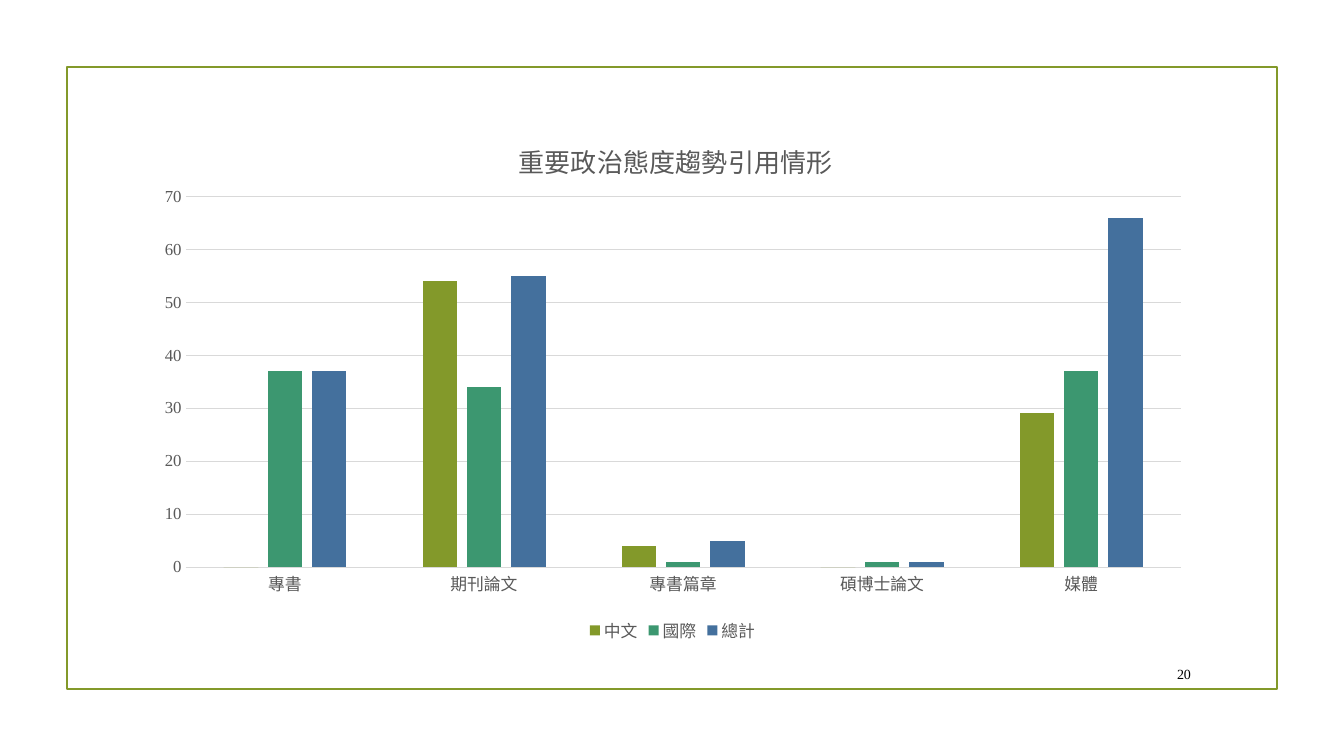
from lxml.etree import SubElement
from pptx import Presentation
from pptx.chart.data import CategoryChartData
from pptx.dml.color import RGBColor
from pptx.enum.chart import XL_CHART_TYPE, XL_LEGEND_POSITION, XL_TICK_MARK
from pptx.enum.shapes import MSO_SHAPE
from pptx.enum.text import MSO_ANCHOR, PP_ALIGN
from pptx.oxml.ns import qn
from pptx.util import Inches, Pt

TITLE = "重要政治態度趨勢引用情形"
CATEGORIES = ["專書", "期刊論文", "專書篇章", "碩博士論文", "媒體"]
SERIES = [
    ("中文", (0, 54, 4, 0, 29), "olive"),
    ("國際", (37, 34, 1, 1, 37), "green"),
    ("總計", (37, 55, 5, 1, 66), "blue"),
]
PAGE_NUMBER = "20"

COLORS = {
    "olive": "83992A",
    "green": "3C9770",
    "blue": "44709D",
    "label": "595959",
    "grid": "D9D9D9",
    "black": "000000",
}
FONT = "Times New Roman"
WIDTH, HEIGHT = 13.33, 7.5
FRAME_MARGIN = 0.665
CHART_BOX = (1.42, 1.06, 10.5, 5.36)
NUMBER_BOX = (11.32, 6.53, 0.59, 0.31)
# Shares of the chart's own width and height
TITLE_LAYOUT = {"x": 0.35, "y": 0.05}
PLOT_LAYOUT = {"x": 0.04, "y": 0.166, "w": 0.94, "h": 0.686}


def color(name):
    return RGBColor.from_string(COLORS[name])


def format_font(font, size, color_name):
    font.name = FONT
    font.size = Pt(size)
    font.bold = False
    font.color.rgb = color(color_name)


def format_line(line, color_name, width):
    line.color.rgb = color(color_name)
    line.width = Pt(width)


def write_text(text_frame, text, size=12, color_name="label", align=PP_ALIGN.CENTER):
    paragraph = text_frame.paragraphs[0]
    paragraph.alignment = align
    run = paragraph.add_run()
    run.text = text
    format_font(run.font, size, color_name)


def set_layout(parent, position, shares, inner=False):
    """Place a chart part by shares of the chart's size."""
    for existing in parent.findall(qn("c:layout")):
        parent.remove(existing)
    layout = parent.makeelement(qn("c:layout"))
    parent.insert(position, layout)
    manual = SubElement(layout, qn("c:manualLayout"))
    if inner:
        SubElement(manual, qn("c:layoutTarget")).set("val", "inner")
    for key in ("x", "y"):
        SubElement(manual, qn(f"c:{key}Mode")).set("val", "edge")
    for key, share in shares.items():
        SubElement(manual, qn(f"c:{key}")).set("val", str(share))


def add_frame(slide):
    frame = slide.shapes.add_shape(
        MSO_SHAPE.RECTANGLE, Inches(FRAME_MARGIN), Inches(FRAME_MARGIN),
        Inches(WIDTH - 2 * FRAME_MARGIN), Inches(HEIGHT - 2 * FRAME_MARGIN))
    frame.shadow.inherit = False
    frame.fill.background()
    format_line(frame.line, "olive", 1.25)


def format_axes(chart):
    for axis in (chart.category_axis, chart.value_axis):
        axis.major_tick_mark = axis.minor_tick_mark = XL_TICK_MARK.NONE
        format_font(axis.tick_labels.font, 12, "label")
    format_line(chart.category_axis.format.line, "grid", 0.75)
    value_axis = chart.value_axis
    value_axis.minimum_scale, value_axis.maximum_scale = 0, 70
    value_axis.major_unit = 10
    value_axis.format.line.fill.background()
    format_line(value_axis.major_gridlines.format.line, "grid", 0.75)


def add_citation_chart(slide):
    data = CategoryChartData()
    data.categories = CATEGORIES
    for name, values, _ in SERIES:
        data.add_series(name, values)
    chart = slide.shapes.add_chart(
        XL_CHART_TYPE.COLUMN_CLUSTERED, *map(Inches, CHART_BOX), data).chart
    format_font(chart.font, 10, "black")

    chart.has_title = True
    write_text(chart.chart_title.text_frame, TITLE, size=18.6)
    chart.chart_title.include_in_layout = False
    set_layout(chart.element.find(".//" + qn("c:title")), 1, TITLE_LAYOUT)
    set_layout(chart.element.find(".//" + qn("c:plotArea")), 0, PLOT_LAYOUT, inner=True)

    format_axes(chart)
    plot = chart.plots[0]
    plot.gap_width, plot.overlap = 219, -27
    plot.vary_by_categories = False
    for series, (_, _, color_name) in zip(plot.series, SERIES):
        series.format.fill.solid()
        series.format.fill.fore_color.rgb = color(color_name)

    chart.has_legend = True
    chart.legend.position = XL_LEGEND_POSITION.BOTTOM
    chart.legend.include_in_layout = False
    format_font(chart.legend.font, 12, "label")


def add_page_number(slide):
    text_frame = slide.shapes.add_textbox(*map(Inches, NUMBER_BOX)).text_frame
    text_frame.word_wrap = True
    text_frame.vertical_anchor = MSO_ANCHOR.MIDDLE
    write_text(text_frame, PAGE_NUMBER, size=10, color_name="black", align=PP_ALIGN.RIGHT)


def main():
    presentation = Presentation()
    presentation.slide_width, presentation.slide_height = Inches(WIDTH), Inches(HEIGHT)
    slide = presentation.slides.add_slide(presentation.slide_layouts[6])
    add_frame(slide)
    add_citation_chart(slide)
    add_page_number(slide)
    presentation.save("out.pptx")


if __name__ == "__main__":
    main()
